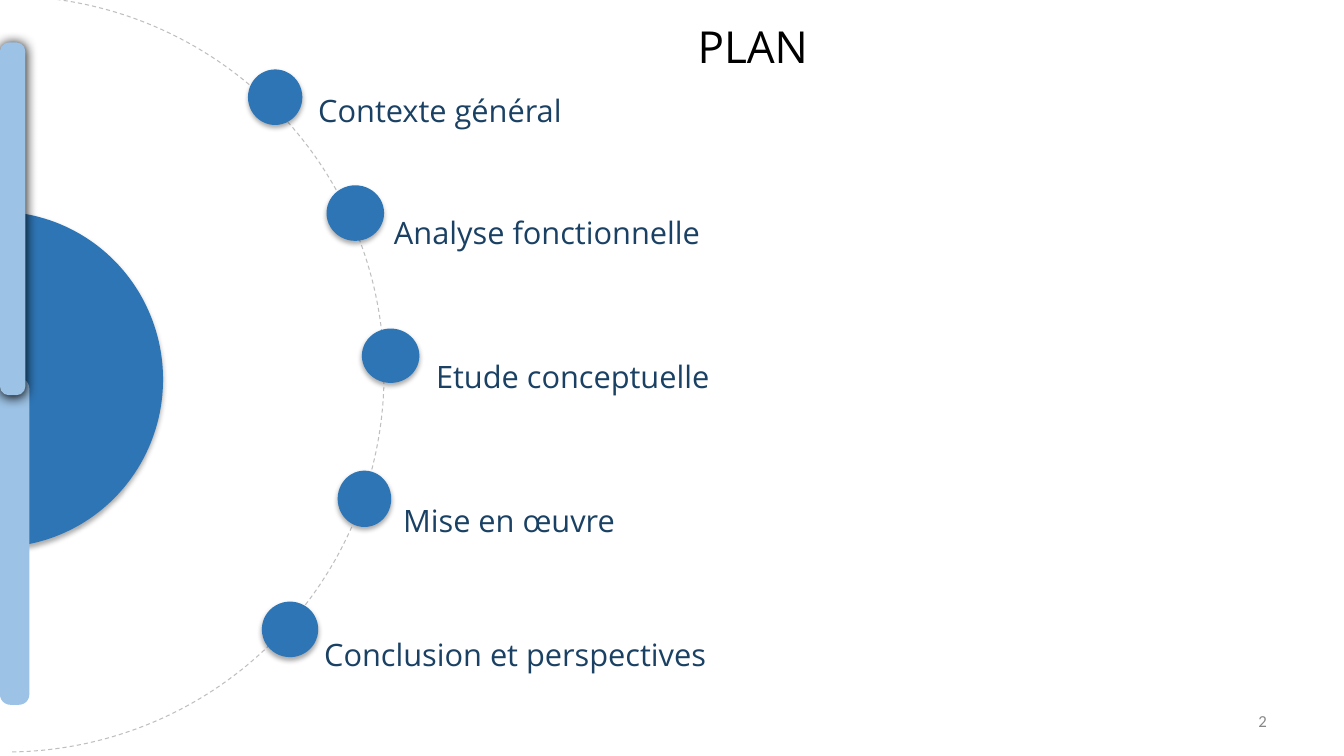
from lxml.etree import SubElement
from pptx import Presentation
from pptx.dml.color import RGBColor
from pptx.enum.dml import MSO_LINE
from pptx.enum.shapes import MSO_SHAPE as SHAPE
from pptx.enum.text import MSO_ANCHOR as ANCHOR, MSO_AUTO_SIZE as AUTO, PP_ALIGN as ALIGN
from pptx.oxml.ns import qn
from pptx.util import Cm, Pt

BLACK = RGBColor(0x00, 0x00, 0x00)
BLUE = RGBColor(0x2E, 0x75, 0xB5)
LIGHT_BLUE = RGBColor(0x9C, 0xC2, 0xE5)
NAVY = RGBColor(0x1A, 0x41, 0x64)
DASH_GREY = RGBColor(0xBF, 0xBF, 0xBF)
NUMBER_GREY = RGBColor(0x88, 0x88, 0x88)
FONT = "Open Sans"

TITLE = "PLAN"
PAGE = "2"
# Label, its box (left, top, width, height), its dot (same order), all in cm
STEPS = [
    ("Contexte général", (7.77, 1.9, 10.67, 1.2), (6.25, 1.75, 1.37, 1.4)),
    ("Analyse fonctionnelle", (9.68, 4.98, 14.68, 1.2), (8.23, 4.67, 1.45, 1.4)),
    ("Etude conceptuelle", (10.74, 8.61, 13.54, 1.35), (9.12, 8.28, 1.45, 1.37)),
    ("Mise en œuvre", (9.91, 12.24, 13.41, 1.2), (8.51, 11.86, 1.35, 1.42)),
    ("Conclusion et perspectives", (7.92, 15.62, 13.41, 1.2), (6.6, 15.16, 1.42, 1.4)),
]
ORBIT = (-9.37, -0.1, 19.05, 19.05)
DISC = (-4.27, 5.33, 8.38, 8.46)
LOWER_BAR = (0, 9.53, 0.74, 8.23)
UPPER_BAR = (0, 1.07, 0.64, 8.89)
TITLE_BOX = (16.61, 0.56, 4.72, 1.35)
PAGE_BOX = (24.28, 17.65, 7.9, 1.02)
HALF_TURN = (162, 53.7)
BAR_CORNER = (0.35,)
# Shadow: opacity in percent, blur and distance in points
SOFT = (32, 3.5, 2.2)
STRONG = (100, 8.5, 1)


def cm(box):
    return [Cm(v) for v in box]


def add_shadow(sp, opacity, blur, distance):
    effects = sp._element.spPr.find(qn("a:effectLst"))
    shadow = SubElement(effects, qn("a:outerShdw"), blurRad=str(Pt(blur)),
                        dist=str(Pt(distance)), dir="5400000", rotWithShape="0")
    color = SubElement(shadow, qn("a:srgbClr"), val=str(BLACK))
    SubElement(color, qn("a:alpha"), val=str(opacity * 1000))


def add_figure(slide, kind, box, fill=None, adjust=(), shadow=None):
    sp = slide.shapes.add_shape(kind, *cm(box))
    sp.shadow.inherit = False
    for i, value in enumerate(adjust):
        sp.adjustments[i] = value
    if fill is None:
        sp.fill.background()
    else:
        sp.fill.solid()
        sp.fill.fore_color.rgb = fill
        sp.line.fill.background()
    if shadow:
        add_shadow(sp, *shadow)
    return sp


def write(sp, text, size, color, font=FONT, align=ALIGN.LEFT, spacing=1.0,
          anchor=ANCHOR.TOP, auto=AUTO.NONE):
    tf = sp.text_frame
    tf.word_wrap = True
    tf.auto_size = auto
    tf.vertical_anchor = anchor
    p = tf.paragraphs[0]
    p.alignment = align
    p.line_spacing = spacing
    r = p.add_run()
    r.text = text
    r.font.size = Pt(size)
    r.font.name = font
    r.font.color.rgb = color


def main():
    prs = Presentation()
    prs.slide_width, prs.slide_height = Cm(33.87), Cm(19.05)
    slide = prs.slides.add_slide(prs.slide_layouts[5])

    orbit = add_figure(slide, SHAPE.ARC, ORBIT, adjust=HALF_TURN)
    orbit.line.color.rgb = DASH_GREY
    orbit.line.width = Pt(0.75)
    orbit.line.dash_style = MSO_LINE.DASH
    add_figure(slide, SHAPE.ARC, DISC, BLUE, HALF_TURN, SOFT)
    add_figure(slide, SHAPE.ROUNDED_RECTANGLE, LOWER_BAR, LIGHT_BLUE, BAR_CORNER)
    add_figure(slide, SHAPE.ROUNDED_RECTANGLE, UPPER_BAR, LIGHT_BLUE, BAR_CORNER, STRONG)

    title = slide.shapes.title
    title.left, title.top, title.width, title.height = cm(TITLE_BOX)
    write(title, TITLE, 31.5, BLACK, align=ALIGN.CENTER, spacing=0.9, anchor=ANCHOR.MIDDLE)

    for label, label_box, dot_box in STEPS:
        add_figure(slide, SHAPE.OVAL, dot_box, BLUE, shadow=SOFT)
        write(slide.shapes.add_textbox(*cm(label_box)), label, 22, NAVY,
              spacing=1.3, auto=AUTO.SHAPE_TO_FIT_TEXT)

    write(slide.shapes.add_textbox(*cm(PAGE_BOX)), PAGE, 12, NUMBER_GREY, "Calibri",
          ALIGN.RIGHT, anchor=ANCHOR.MIDDLE)
    prs.save("out.pptx")


if __name__ == "__main__":
    main()
